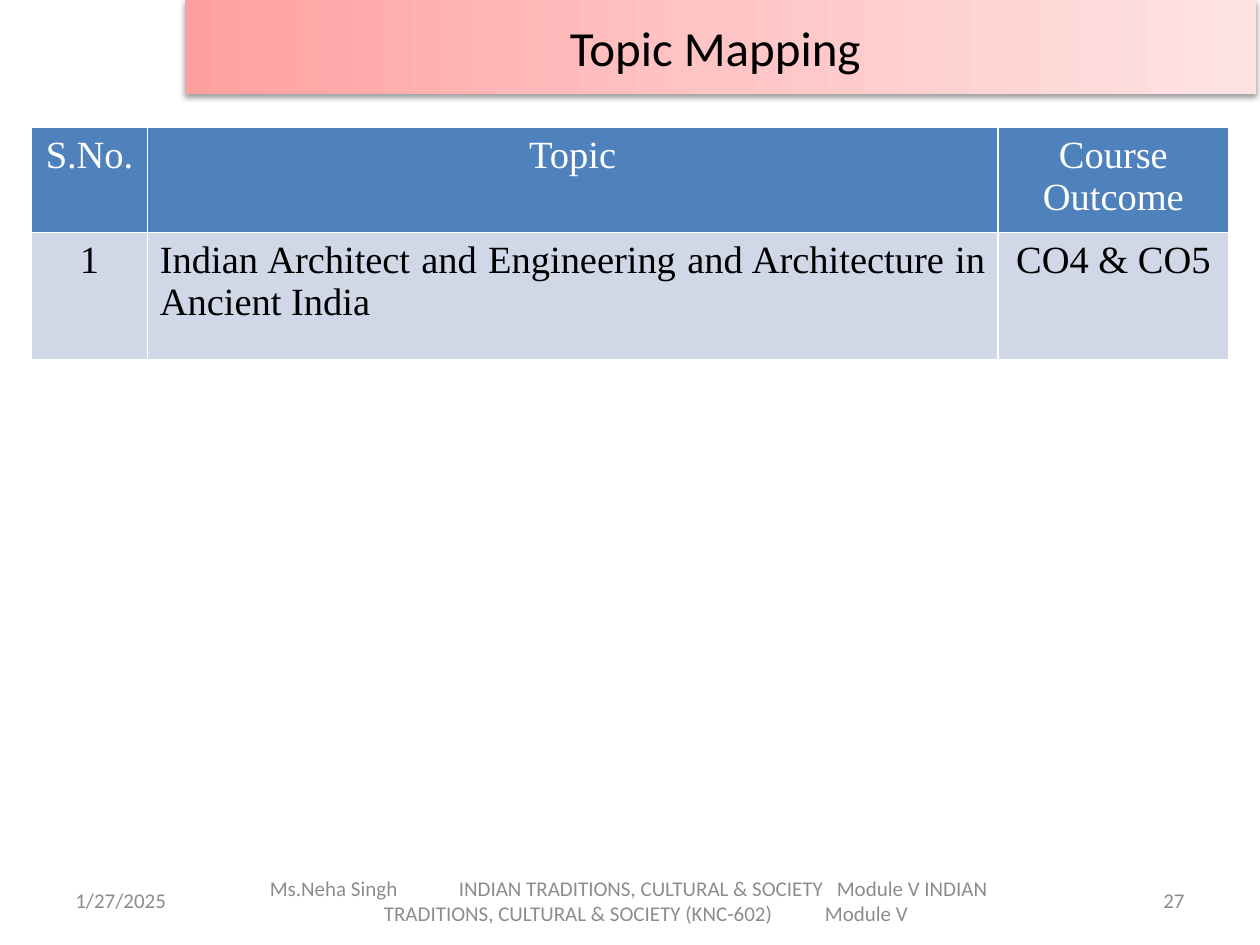
"""Build the topic mapping slide with a title band, a table and a footer."""
from copy import deepcopy
from dataclasses import dataclass

from lxml.etree import SubElement
from pptx import Presentation
from pptx.dml.color import RGBColor
from pptx.enum.text import MSO_ANCHOR, MSO_AUTO_SIZE, PP_ALIGN
from pptx.oxml import parse_xml
from pptx.oxml.ns import nsdecls, qn
from pptx.util import Cm, Pt

LEFT, MID, RIGHT, FULL = PP_ALIGN.LEFT, PP_ALIGN.CENTER, PP_ALIGN.RIGHT, PP_ALIGN.JUSTIFY
WHITE, BLACK, GREY = "FFFFFF", "000000", "8C8C8C"
SERIF, SANS = "Times New Roman", "Calibri"


@dataclass
class Line:
    text: str
    indent: float = 0
    tabs: tuple = ()


@dataclass
class Note:
    left: float
    width: float
    align: PP_ALIGN
    lines: list


@dataclass
class Row:
    high: float
    fill: str
    ink: str
    texts: tuple
    aligns: tuple


NOTES = [
    Note(1.27, 5.92, LEFT, [Line("1/27/2025")]),
    Note(4.45, 17.35, LEFT, [
        Line("Ms.Neha Singh\tINDIAN TRADITIONS, CULTURAL & SOCIETY\tModule V INDIAN",
             0.74, (4.45, 13.04)),
        Line("TRADITIONS, CULTURAL & SOCIETY (KNC-602)\tModule V", 3.04, (12.11,)),
    ]),
    Note(21.8, 2.33, RIGHT, [Line("27")]),
]
WIDTHS = (2.33, 17.15, 4.65)
ROWS = [
    Row(1.85, "4F81BD", WHITE, ("S.No.", "Topic", "Course Outcome"), (MID, MID, MID)),
    Row(2.57, "D0D8E8", BLACK,
        ("1", "Indian Architect and Engineering and Architecture in Ancient India", "CO4 & CO5"),
        (MID, FULL, MID)),
]
STOPS = ((0, "FFA0A0"), (0.5, "FFC5C5"), (1, "FFE3E3"))


def hue(code: str) -> RGBColor:
    """Turn a hex string into a colour."""
    return RGBColor.from_string(code)


def write(para, text: str, *, size=12, face=SANS, ink=BLACK, align=MID) -> None:
    """Put formatted text into a paragraph."""
    para.alignment = align
    run = para.add_run()
    run.text = text
    font = run.font
    font.size, font.name, font.bold = Pt(size), face, False
    font.color.rgb = hue(ink)


def set_tabs(para, line: Line) -> None:
    """Indent a paragraph and give it tab stops."""
    props = para._p.get_or_add_pPr()
    props.set("marL", str(Cm(line.indent)))
    props.set("indent", "0")
    stops = SubElement(props, qn("a:tabLst"))
    for pos in line.tabs:
        SubElement(stops, qn("a:tab"), pos=str(Cm(pos)), algn="l")


def draw_title(slide) -> None:
    """Shape the title placeholder into a shaded band."""
    band = slide.shapes.title
    band.left, band.top, band.width, band.height = Cm(3.73), Cm(0), Cm(21.6), Cm(1.9)
    band.fill.gradient()
    band.fill.gradient_angle = 0
    first = band.fill.gradient_stops[0]._gs
    first.addnext(deepcopy(first))
    for stop, (pos, code) in zip(band.fill.gradient_stops, STOPS):
        stop.position = pos
        stop.color.rgb = hue(code)
    band._element.spPr.append(parse_xml(
        f'<a:effectLst {nsdecls("a")}><a:outerShdw blurRad="{Pt(3.1)}" dist="{Pt(1.6)}" '
        f'dir="5400000" rotWithShape="0"><a:srgbClr val="{BLACK}"><a:alpha val="38000"/>'
        '</a:srgbClr></a:outerShdw></a:effectLst>'))
    frame = band.text_frame
    frame.auto_size = MSO_AUTO_SIZE.NONE
    frame.vertical_anchor = MSO_ANCHOR.MIDDLE
    write(frame.paragraphs[0], "Topic Mapping ", size=28)


def edge(cell) -> None:
    """Give a cell thin white borders."""
    props = cell._tc.get_or_add_tcPr()
    for side in "LRTB":
        props.append(parse_xml(
            f'<a:ln{side} {nsdecls("a")} w="{Pt(1)}"><a:solidFill>'
            f'<a:srgbClr val="{WHITE}"/></a:solidFill></a:ln{side}>'))


def draw_table(slide) -> None:
    """Add the table of topics."""
    table = slide.shapes.add_table(
        len(ROWS), len(WIDTHS), Cm(0.64), Cm(2.57), Cm(sum(WIDTHS)),
        Cm(sum(row.high for row in ROWS))).table
    for col, width in zip(table.columns, WIDTHS):
        col.width = Cm(width)
    for line, row in zip(table.rows, ROWS):
        line.height = Cm(row.high)
        for cell, text, align in zip(line.cells, row.texts, row.aligns):
            edge(cell)
            cell.fill.solid()
            cell.fill.fore_color.rgb = hue(row.fill)
            write(cell.text_frame.paragraphs[0], text,
                  size=22, face=SERIF, ink=row.ink, align=align)


def draw_note(slide, note: Note) -> None:
    """Add one part of the footer."""
    box = slide.shapes.add_textbox(Cm(note.left), Cm(17.65), Cm(note.width), Cm(1.01))
    frame = box.text_frame
    frame.word_wrap = True
    frame.vertical_anchor = MSO_ANCHOR.MIDDLE
    for num, line in enumerate(note.lines):
        para = frame.add_paragraph() if num else frame.paragraphs[0]
        if line.tabs:
            set_tabs(para, line)
        write(para, line.text, ink=GREY, align=note.align)


def main() -> None:
    """Build and save the slide."""
    deck = Presentation()
    deck.slide_width, deck.slide_height = Cm(25.4), Cm(19.05)
    slide = deck.slides.add_slide(deck.slide_layouts[5])
    for note in NOTES:
        draw_note(slide, note)
    draw_title(slide)
    draw_table(slide)
    deck.save("out.pptx")


if __name__ == "__main__":
    main()
